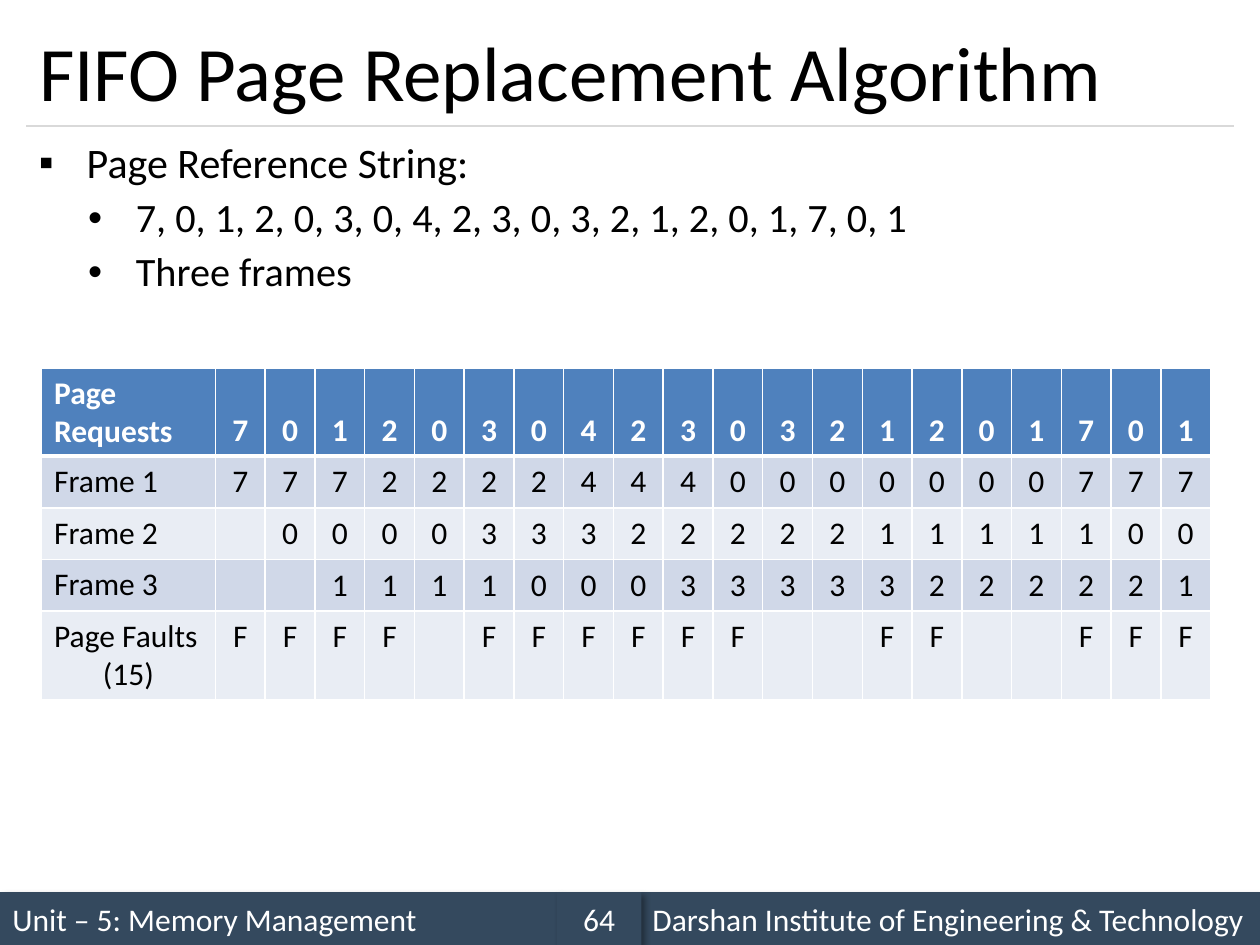
from dataclasses import dataclass
from typing import Optional

from lxml.etree import SubElement
from pptx import Presentation
from pptx.dml.color import RGBColor
from pptx.enum.shapes import MSO_CONNECTOR, MSO_SHAPE
from pptx.enum.text import MSO_ANCHOR, MSO_AUTO_SIZE, PP_ALIGN
from pptx.oxml import parse_xml
from pptx.oxml.ns import qn
from pptx.util import Emu, Inches, Pt

W, H = Inches(10), Inches(7.5)
A_NS = 'xmlns:a="http://schemas.openxmlformats.org/drawingml/2006/main"'
MARGIN = 0.021
BAR_TOP, BAR_H = 0.944, 0.056
BLACK, WHITE, NAVY, RULE = "000000", "FFFFFF", "34495E", "D9D9D9"
HEADER, BANDS = "4F81BD", ("D0D8E8", "E9EDF4")
REQUESTS = [7, 0, 1, 2, 0, 3, 0, 4, 2, 3, 0, 3, 2, 1, 2, 0, 1, 7, 0, 1]
FRAMES = 3


@dataclass
class Bullet:
    text: str
    level: int
    mark: str
    size: float


@dataclass
class FooterPart:
    text: str
    left: float
    width: float
    align: PP_ALIGN


@dataclass
class Row:
    label: str
    values: list[str]
    height: float
    fill: str
    anchor: MSO_ANCHOR


BULLETS = [
    Bullet("Page Reference String:", 0, "▪", 24),
    Bullet(", ".join(map(str, REQUESTS)), 1, "•", 23),
    Bullet("Three frames", 1, "•", 23),
]
FOOTER = [
    FooterPart("Unit – 5: Memory Management", 0, 0.442, PP_ALIGN.LEFT),
    FooterPart("Darshan Institute of Engineering & Technology", 0.508, 0.492, PP_ALIGN.LEFT),
    FooterPart("64", 0.442, 0.067, PP_ALIGN.CENTER),
]


def color(value: str) -> RGBColor:
    return RGBColor.from_string(value)


def box(x: float, y: float, w: float, h: float) -> tuple[Emu, ...]:
    return Emu(int(x * W)), Emu(int(y * H)), Emu(int(w * W)), Emu(int(h * H))


def write(p, text: str, size: float, ink: str, bold: bool = False) -> None:
    r = p.add_run()
    r.text = text
    for name, value in {"name": "Calibri", "size": Pt(size), "bold": bold}.items():
        setattr(r.font, name, value)
    r.font.color.rgb = color(ink)


def add_footer_part(s, part: FooterPart) -> None:
    sp = s.shapes.add_shape(MSO_SHAPE.RECTANGLE, *box(part.left, BAR_TOP, part.width, BAR_H))
    sp.shadow.inherit = False
    sp.fill.solid()
    sp.fill.fore_color.rgb = color(NAVY)
    sp.line.fill.background()
    effects = sp._element.spPr.find(qn("a:effectLst"))
    effects.append(parse_xml(
        f'<a:outerShdw {A_NS} blurRad="50800" dist="38100" dir="2700000" algn="tl">'
        '<a:srgbClr val="000000"><a:alpha val="40000"/></a:srgbClr></a:outerShdw>'))
    tf = sp.text_frame
    tf.word_wrap = True
    tf.vertical_anchor = MSO_ANCHOR.MIDDLE
    p = tf.paragraphs[0]
    p.alignment = part.align
    write(p, part.text, 18, WHITE)


def add_rule(s) -> None:
    x, y, w, _ = box(MARGIN, 2 / 15, 1 - 2 * MARGIN, 0)
    line = s.shapes.add_connector(MSO_CONNECTOR.STRAIGHT, x, y, x + w, y)
    line.line.color.rgb = color(RULE)
    line.line.width = Pt(0.75)
    SubElement(line._element.spPr, qn("a:effectLst"))


def set_title(s, text: str) -> None:
    sp = s.shapes.title
    sp.left, sp.top, sp.width, sp.height = box(MARGIN, 0.016, 1 - 2 * MARGIN, 0.117)
    tf = sp.text_frame
    for name, value in {"word_wrap": True, "auto_size": MSO_AUTO_SIZE.NONE,
                        "vertical_anchor": MSO_ANCHOR.MIDDLE}.items():
        setattr(tf, name, value)
    p = tf.paragraphs[0]
    p.alignment = PP_ALIGN.LEFT
    write(p, text, 44, BLACK)


def add_bullets(s, bullets: list[Bullet]) -> None:
    tf = s.shapes.add_textbox(*box(MARGIN, 0.144, 1 - 2 * MARGIN, 0.777)).text_frame
    tf.word_wrap = True
    for i, b in enumerate(bullets):
        p = tf.add_paragraph() if i else tf.paragraphs[0]
        p.level = b.level
        p.alignment = PP_ALIGN.JUSTIFY
        p.line_spacing = 0.9
        p.space_before = Pt(6 if i else 0)
        pPr = p._p.get_or_add_pPr()
        pPr.set("marL", str(Inches(0.38 + 0.39 * b.level)))
        pPr.set("indent", str(-Inches(0.38)))
        SubElement(pPr, qn("a:buFont"), typeface="Arial")
        SubElement(pPr, qn("a:buChar"), char=b.mark)
        write(p, b.text, b.size, BLACK)


def fifo(requests: list[int], count: int) -> tuple[list[list[str]], list[str]]:
    frames: list[Optional[int]] = [None] * count
    history: list[list[str]] = [[] for _ in frames]
    faults: list[str] = []
    oldest = 0
    for page in requests:
        fault = page not in frames
        if fault:
            frames[oldest] = page
            oldest = (oldest + 1) % count
        faults.append("F" if fault else "")
        for row, held in zip(history, frames):
            row.append("" if held is None else str(held))
    return history, faults


def table_rows() -> list[Row]:
    history, faults = fifo(REQUESTS, FRAMES)
    head = Row("Page\nRequests", [str(n) for n in REQUESTS], 0.7, HEADER, MSO_ANCHOR.BOTTOM)
    frames = [Row(f"Frame {i + 1}", values, 0.41, BANDS[i % 2], MSO_ANCHOR.MIDDLE)
              for i, values in enumerate(history)]
    last = Row(f"Page Faults\n({faults.count('F')})", faults, 0.7, BANDS[1], MSO_ANCHOR.TOP)
    return [head, *frames, last]


def set_borders(cell, bottom: float) -> None:
    tcPr = cell._tc.get_or_add_tcPr()
    for i, (side, width) in enumerate({"L": 1, "R": 1, "T": 1, "B": bottom}.items()):
        tcPr.insert(i, parse_xml(
            f'<a:ln{side} {A_NS} w="{Pt(width)}"><a:solidFill>'
            f'<a:srgbClr val="{WHITE}"/></a:solidFill></a:ln{side}>'))


def add_frames_table(s, rows: list[Row]) -> None:
    cols = [1.38] + [0.395] * len(REQUESTS)
    table = s.shapes.add_table(len(rows), len(cols), Inches(0.33), Inches(2.92),
                               Inches(sum(cols)), Inches(sum(r.height for r in rows))).table
    for column, width in zip(table.columns, cols):
        column.width = Inches(width)
    for i, row in enumerate(rows):
        table.rows[i].height = Inches(row.height)
        is_head = i == 0
        for j, text in enumerate([row.label, *row.values]):
            cell = table.cell(i, j)
            cell.fill.solid()
            cell.fill.fore_color.rgb = color(row.fill)
            cell.vertical_anchor = row.anchor if j else MSO_ANCHOR.TOP
            set_borders(cell, 3 if is_head else 1)
            tf = cell.text_frame
            for k, part in enumerate(text.split("\n") if text else []):
                p = tf.add_paragraph() if k else tf.paragraphs[0]
                centred = j > 0 or part.startswith("(")
                p.alignment = PP_ALIGN.CENTER if centred else PP_ALIGN.LEFT
                write(p, part, 18, WHITE if is_head else BLACK, is_head)


def main() -> None:
    prs = Presentation()
    prs.slide_width, prs.slide_height = W, H
    s = prs.slides.add_slide(prs.slide_layouts[5])
    for part in FOOTER:
        add_footer_part(s, part)
    add_rule(s)
    set_title(s, "FIFO Page Replacement Algorithm")
    add_bullets(s, BULLETS)
    add_frames_table(s, table_rows())
    prs.save("out.pptx")


if __name__ == "__main__":
    main()
